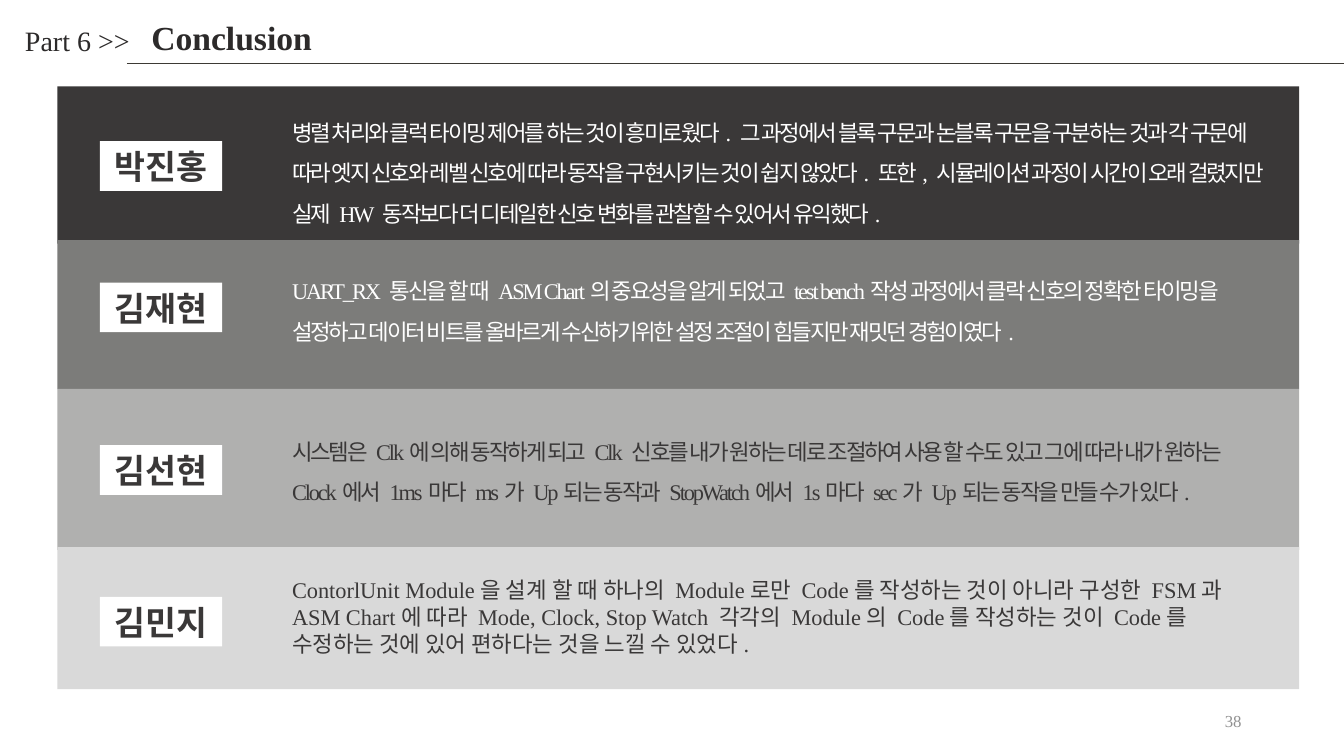
from dataclasses import dataclass

from pptx import Presentation
from pptx.dml.color import RGBColor
from pptx.enum import shapes, text
from pptx.oxml import ns
from pptx.util import Cm, Pt

FONT = "Times New Roman"
DARK, WHITE, INK = "3A3838", "FFFFFF", "2C2A2A"
LEFT, TOP = text.PP_ALIGN.LEFT, text.MSO_ANCHOR.TOP
BAND_LEFT, BAND_WIDTH = 1.45, 31.29
NAME_LEFT, NAME_WIDTH = 2.52, 3.08
COMMENT_LEFT = 7.11


@dataclass
class Member:
    name: str
    comment: str
    fill: str
    color: str
    band_top: float
    band_height: float
    name_top: float
    comment_top: float
    comment_width: float
    comment_height: float
    line_spacing: float = 1.5
    tracking: int = -150  # hundredths of a point


MEMBERS = [
    Member("박진홍",
           "병렬 처리와 클럭 타이밍 제어를 하는 것이 흥미로웠다. 그 과정에서 블록 구문과 "
           "논블록 구문을 구분하는 것과 각 구문에 따라 엣지 신호와 레벨 신호에 따라 동작을 "
           "구현시키는 것이 쉽지 않았다. 또한, 시뮬레이션 과정이 시간이 오래 걸렸지만 실제 HW "
           "동작보다 더 디테일한 신호 변화를 관찰할 수 있어서 유익했다.",
           DARK, WHITE, 2.18, 3.96, 3.56, 2.54, 25.45, 3.2),
    Member("김재현",
           "UART_RX 통신을 할 때 ASM Chart의 중요성을 알게 되었고 test bench작성 과정에서 "
           "클락 신호의 정확한 타이밍을 설정하고 데이터 비트를 올바르게 수신하기위한 설정 조절이 "
           "힘들지만 재밋던 경험이였다.",
           "7C7C7A", WHITE, 6.05, 3.76, 7.12, 6.53, 25.17, 2.31),
    Member("김선현",
           "시스템은 Clk에 의해 동작하게 되고 Clk 신호를 내가 원하는 데로 조절하여 사용 할 수도 "
           "있고 그에 따라 내가 원하는 Clock에서 1ms마다 ms가 Up되는 동작과 StopWatch에서 "
           "1s마다 sec가 Up되는 동작을 만들 수가 있다.",
           "B0B0AF", DARK, 9.8, 4.06, 11.22, 10.57, 25.17, 2.18),
    Member("김민지",
           "ContorlUnit Module을 설계 할 때 하나의 Module로만 Code를 작성하는 것이 아니라 "
           "구성한 FSM과 ASM Chart에 따라 Mode, Clock, Stop Watch 각각의 Module의 Code를 "
           "작성하는 것이 Code를 수정하는 것에 있어 편하다는 것을 느낄 수 있었다.",
           "D9D9D9", DARK, 13.79, 3.58, 15.04, 14.4, 24.92, 2.31, 1.0, 0),
]


def rgb(color: str) -> RGBColor:
    return RGBColor.from_string(color)


def write(shape, words: str, size: float, color: str, bold: bool = False,
          align=LEFT, anchor=TOP, wrap: bool = True, grow: bool = True,
          line_spacing: float = 1.0, tracking: int = 0) -> None:
    frame = shape.text_frame
    frame.text = words
    paragraph = frame.paragraphs[0]
    run = paragraph.runs[0]
    auto_size = text.MSO_AUTO_SIZE
    formats = [
        (frame, {"word_wrap": wrap, "vertical_anchor": anchor,
                 "auto_size": auto_size.SHAPE_TO_FIT_TEXT if grow else auto_size.NONE}),
        (paragraph, {"alignment": align, "line_spacing": line_spacing}),
        (run.font, {"name": FONT, "size": Pt(size), "bold": bold}),
    ]
    for target, values in formats:
        for attribute, value in values.items():
            setattr(target, attribute, value)
    run.font.color.rgb = rgb(color)
    if tracking:
        run.font._element.set("spc", str(tracking))


def add_text(slide, left: float, top: float, width: float, height: float,
             words: str, size: float, color: str, **format_values) -> None:
    shape = slide.shapes.add_textbox(Cm(left), Cm(top), Cm(width), Cm(height))
    write(shape, words, size, color, **format_values)


def add_box(slide, left: float, top: float, width: float, height: float, fill: str):
    shape = slide.shapes.add_shape(shapes.MSO_SHAPE.RECTANGLE,
                                   Cm(left), Cm(top), Cm(width), Cm(height))
    shape.shadow.inherit = False
    shape.fill.solid()
    shape.fill.fore_color.rgb = rgb(fill)
    shape.line.fill.background()
    return shape


def add_header(slide) -> None:
    add_text(slide, 0.38, 0.48, 3.18, 1.12, "Part 6 >>", 20, INK, wrap=False)
    title = slide.shapes.title
    placement = {"left": 3.56, "top": 0.3, "width": 10.21, "height": 1.27}
    for attribute, value in placement.items():
        setattr(title, attribute, Cm(value))
    write(title, "Conclusion", 24, INK, bold=True)

    rule = slide.shapes.add_connector(shapes.MSO_CONNECTOR.STRAIGHT,
                                      Cm(3.2), Cm(1.6), Cm(33.87), Cm(1.6))
    rule.line.color.rgb = rgb("3D3A35")
    rule.line.width = Pt(0.5)
    outline = rule._element.spPr
    outline.append(outline.makeelement(ns.qn("a:effectLst"), {}))


def add_member(slide, member: Member) -> None:
    add_box(slide, BAND_LEFT, member.band_top, BAND_WIDTH, member.band_height, member.fill)
    name_box = add_box(slide, NAME_LEFT, member.name_top, NAME_WIDTH, 1.25, WHITE)
    write(name_box, member.name, 24, DARK, bold=True, align=text.PP_ALIGN.CENTER)
    add_text(slide, COMMENT_LEFT, member.comment_top, member.comment_width,
             member.comment_height, member.comment, 16, member.color,
             line_spacing=member.line_spacing, tracking=member.tracking)


def main() -> None:
    presentation = Presentation()
    presentation.slide_width, presentation.slide_height = Cm(33.87), Cm(19.05)
    slide = presentation.slides.add_slide(presentation.slide_layouts[5])
    add_header(slide)
    for member in MEMBERS:
        add_member(slide, member)
    add_text(slide, 23.92, 17.65, 7.62, 1.02, "38", 12, "919191", grow=False,
             align=text.PP_ALIGN.RIGHT, anchor=text.MSO_ANCHOR.MIDDLE)
    presentation.save("out.pptx")


if __name__ == "__main__":
    main()
